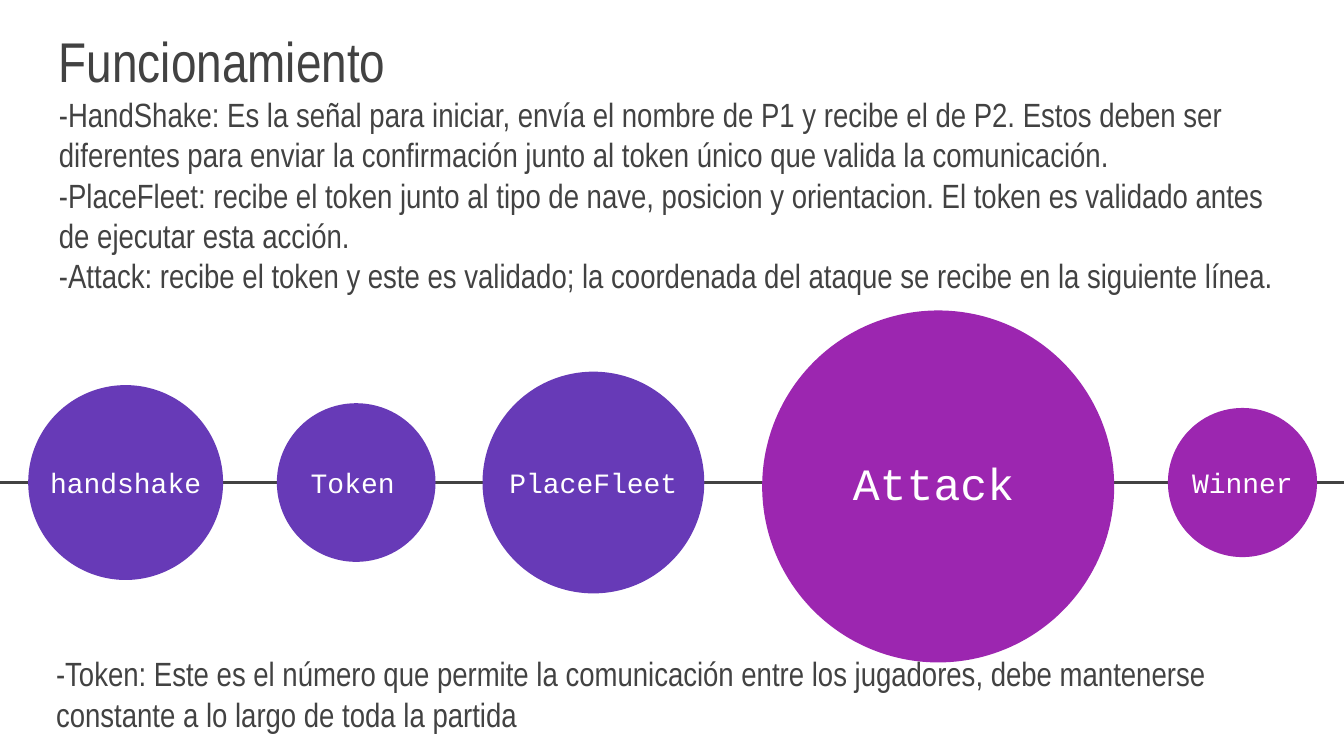
from dataclasses import dataclass

from lxml.etree import SubElement
from pptx import Presentation
from pptx.dml.color import RGBColor
from pptx.enum.shapes import MSO_CONNECTOR, MSO_SHAPE
from pptx.enum.text import MSO_ANCHOR, MSO_AUTO_SIZE, PP_ALIGN
from pptx.oxml.ns import qn
from pptx.slide import Slide
from pptx.util import Pt

GRAY = RGBColor(0x42, 0x42, 0x42)
WHITE = RGBColor(0xFF, 0xFF, 0xFF)
INDIGO = RGBColor(0x67, 0x3A, 0xB7)
PURPLE = RGBColor(0x9C, 0x26, 0xB0)

BODY_FONT = "Arial Narrow"
CODE_FONT = "Courier New"

SLIDE_WIDTH, SLIDE_HEIGHT = 720, 405
AXIS_Y = 258.5
LABEL_HEIGHT = 47.5
INSET = 7.2


@dataclass(frozen=True)
class Line:
    text: str
    size: float
    font: str = BODY_FONT
    color: RGBColor = GRAY


@dataclass(frozen=True)
class Stage:
    """A circle on the timeline; its label may be offset from its centre."""
    name: str
    center_x: float
    diameter: float
    color: RGBColor
    label_width: float
    label_shift: float = 0
    drop: float = 0
    size: float = 15


EXPLANATION = [
    Line("Funcionamiento", 30),
    Line("-HandShake: Es la señal para iniciar, envía el nombre de P1 y recibe el de P2. "
         "Estos deben ser diferentes para enviar la confirmación junto al token único "
         "que valida la comunicación.", 18),
    Line("-PlaceFleet: recibe el token junto al tipo de nave, posicion y orientacion. "
         "El token es validado antes de ejecutar esta acción.", 18),
    Line("-Attack: recibe el token y este es validado; la coordenada del ataque se recibe "
         "en la siguiente línea.", 18),
]
TOKEN_NOTE = [
    Line("-Token: Este es el número que permite la comunicación entre los jugadores, "
         "debe mantenerse constante a lo largo de toda la partida", 18),
]
STAGES = [
    Stage("handshake", 67.3, 104.4, INDIGO, 104.4),
    Stage("Token", 190.8, 85, INDIGO, 91.4, label_shift=-1.8),
    Stage("PlaceFleet", 317.9, 118.8, INDIGO, 118.8),
    Stage("Attack", 502.6, 188.6, PURPLE, 232.6, label_shift=-2.5, drop=2.1, size=24),
    Stage("Winner", 665.6, 79.9, PURPLE, 79.9),
]


def add_text(page: Slide, left: float, top: float, width: float, height: float,
             lines: list[Line], anchor: MSO_ANCHOR = MSO_ANCHOR.TOP,
             align: PP_ALIGN = PP_ALIGN.LEFT) -> None:
    box = page.shapes.add_textbox(Pt(left), Pt(top), Pt(width), Pt(height))
    frame = box.text_frame
    frame.word_wrap = True
    frame.auto_size = MSO_AUTO_SIZE.NONE
    frame.vertical_anchor = anchor
    frame.margin_left = frame.margin_right = Pt(INSET)
    frame.margin_top = frame.margin_bottom = Pt(INSET)
    for index, line in enumerate(lines):
        para = frame.add_paragraph() if index else frame.paragraphs[0]
        para.alignment = align
        span = para.add_run()
        span.text = line.text
        span.font.name = line.font
        span.font.size = Pt(line.size)
        span.font.color.rgb = line.color


def add_axis(page: Slide) -> None:
    axis = page.shapes.add_connector(MSO_CONNECTOR.STRAIGHT, Pt(0), Pt(AXIS_Y),
                                     Pt(SLIDE_WIDTH), Pt(AXIS_Y))
    axis.line.color.rgb = GRAY
    axis.line.width = Pt(1.5)
    SubElement(axis._element.spPr, qn("a:effectLst"))


def add_stage(page: Slide, stage: Stage) -> None:
    radius = stage.diameter / 2
    circle = page.shapes.add_shape(
        MSO_SHAPE.OVAL, Pt(stage.center_x - radius), Pt(AXIS_Y + stage.drop - radius),
        Pt(stage.diameter), Pt(stage.diameter))
    circle.shadow.inherit = False
    circle.fill.solid()
    circle.fill.fore_color.rgb = stage.color
    circle.line.fill.background()
    add_text(page, stage.center_x + stage.label_shift - stage.label_width / 2,
             AXIS_Y - LABEL_HEIGHT / 2, stage.label_width, LABEL_HEIGHT,
             [Line(stage.name, stage.size, CODE_FONT, WHITE)],
             MSO_ANCHOR.MIDDLE, PP_ALIGN.CENTER)


def main() -> None:
    deck = Presentation()
    deck.slide_width, deck.slide_height = Pt(SLIDE_WIDTH), Pt(SLIDE_HEIGHT)
    page = deck.slides.add_slide(deck.slide_layouts[6])
    add_axis(page)
    add_text(page, 24.5, 108, 671, 57.6, EXPLANATION, MSO_ANCHOR.BOTTOM)
    for stage in STAGES:
        add_stage(page, stage)
    add_text(page, 23, 342.7, 674.6, 54, TOKEN_NOTE)
    deck.save("out.pptx")


if __name__ == "__main__":
    main()
